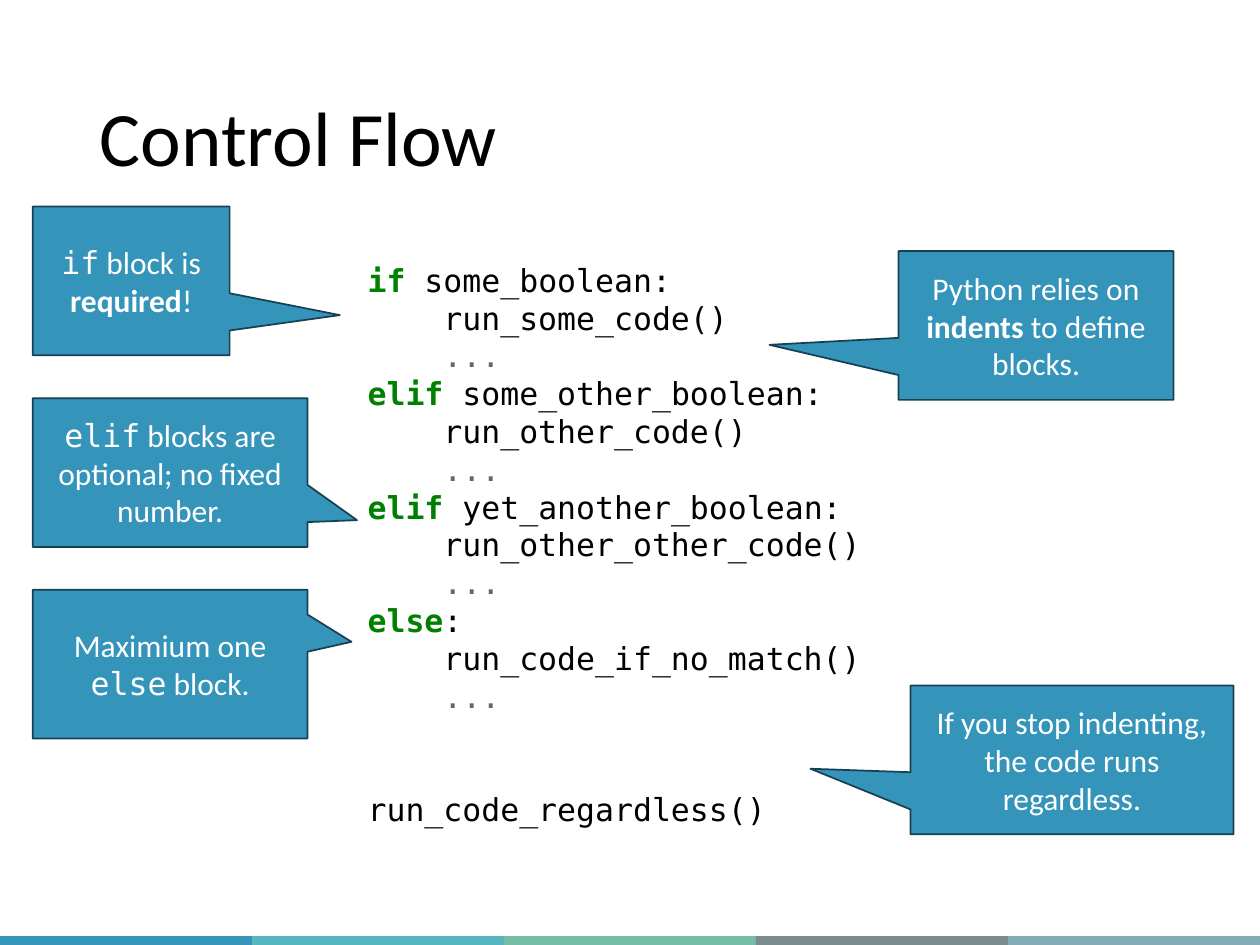
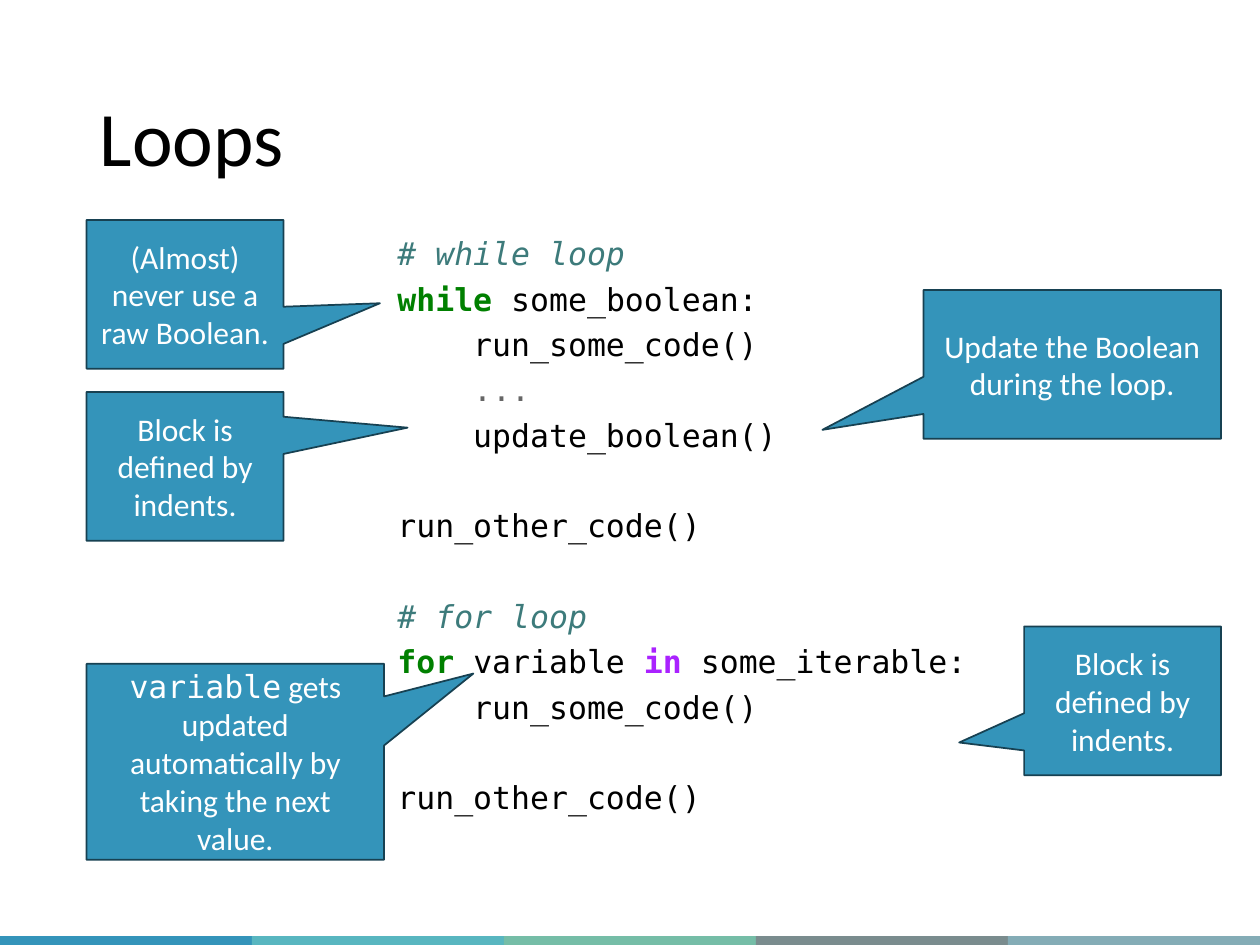
from pptx import Presentation
from pptx.dml.color import RGBColor
from pptx.enum.shapes import MSO_SHAPE
from pptx.enum.text import MSO_ANCHOR, PP_ALIGN
from pptx.util import Pt

WIDTH, HEIGHT = 720, 540
BAND_TOP = 535
BAND_COLORS = ["3494BA", "58B6C0", "75BDA7", "7A8C8E", "84ACB6"]
CALLOUT_FILL, CALLOUT_LINE = "3494BA", "174152"
TEXT_FONT, CODE_FONT = "Calibri", "DejaVu Sans Mono"
CODE_INDENT = 43.35
CODE_LINE = 21.6

FORMATS = {
    "title": {"name": TEXT_FONT, "size": Pt(44), "color": "000000"},
    "note": {"name": TEXT_FONT, "size": Pt(18), "color": "FFFFFF"},
    "strong": {"name": TEXT_FONT, "size": Pt(18), "color": "FFFFFF", "bold": True},
    "inline": {"name": CODE_FONT, "size": Pt(18), "color": "FFFFFF"},
    "code": {"name": CODE_FONT, "size": Pt(18), "color": "000000"},
    "keyword": {"name": CODE_FONT, "size": Pt(18), "color": "008000", "bold": True},
    "operator": {"name": CODE_FONT, "size": Pt(18), "color": "AA22FF", "bold": True},
    "comment": {"name": CODE_FONT, "size": Pt(18), "color": "3D7B7B", "italic": True},
    "dots": {"name": CODE_FONT, "size": Pt(18), "color": "666666"},
}


def color(value):
    return RGBColor.from_string(value)


class SlideWriter:
    def __init__(self):
        self.deck = Presentation()
        self.deck.slide_width, self.deck.slide_height = Pt(WIDTH), Pt(HEIGHT)
        self.page = None

    def start_page(self, title):
        self.page = self.deck.slides.add_slide(self.deck.slide_layouts[6])
        self.bands()
        frame = self.text_frame(50, 28.8, 620, 104.4)
        frame.vertical_anchor = MSO_ANCHOR.MIDDLE
        frame.paragraphs[0].line_spacing = 0.9
        self.spans(frame.paragraphs[0], [(title, "title")])

    def shape(self, kind, left, top, width, height, fill):
        shape = self.page.shapes.add_shape(kind, Pt(left), Pt(top), Pt(width), Pt(height))
        shape.shadow.inherit = False
        shape.fill.solid()
        shape.fill.fore_color.rgb = color(fill)
        return shape

    def bands(self):
        width = WIDTH / len(BAND_COLORS)
        for index, fill in enumerate(BAND_COLORS):
            band = self.shape(MSO_SHAPE.RECTANGLE, index * width, BAND_TOP,
                              width, HEIGHT - BAND_TOP, fill)
            band.line.fill.background()

    def text_frame(self, left, top, width, height):
        box = self.page.shapes.add_textbox(Pt(left), Pt(top), Pt(width), Pt(height))
        box.text_frame.word_wrap = True
        return box.text_frame

    def spans(self, para, parts):
        for text, style in parts:
            span = para.add_run()
            span.text = text
            for key, value in FORMATS[style].items():
                if key == "color":
                    span.font.color.rgb = color(value)
                else:
                    setattr(span.font, key, value)

    def callout(self, left, top, width, tip, parts, height=85):
        box = self.shape(MSO_SHAPE.RECTANGULAR_CALLOUT, left, top, width, height, CALLOUT_FILL)
        box.adjustments[0], box.adjustments[1] = tip
        box.line.color.rgb = color(CALLOUT_LINE)
        box.line.width = Pt(1)
        frame = box.text_frame
        frame.word_wrap = True
        frame.vertical_anchor = MSO_ANCHOR.MIDDLE
        frame.paragraphs[0].alignment = PP_ALIGN.CENTER
        self.spans(frame.paragraphs[0], parts)

    def code(self, left, top, width, height, lines, spacing=1.0):
        frame = self.text_frame(left, top, width, height)
        for index, (indent, gap, parts) in enumerate(lines):
            para = frame.add_paragraph() if index else frame.paragraphs[0]
            para.line_spacing = spacing
            para.space_before = Pt(gap * CODE_LINE * spacing)
            properties = para._p.get_or_add_pPr()
            properties.set("marL", str(Pt(indent * CODE_INDENT)))
            properties.set("indent", "0")
            self.spans(para, parts)


def line(*parts, gap=0):
    return 0, gap, parts


def inner(text, style="code"):
    return 1, 0, [(text, style)]


def branch(keyword, condition, call):
    return [line((keyword, "keyword"), (condition, "code")), inner(call), inner("...", "dots")]


def control_flow(writer):
    writer.start_page("Control Flow")
    left, narrow, wide = 18.7, 112.5, 157
    first, step = 118, 109.5
    notes = [
        (narrow, (1.06, 0.23), [("if", "inline"), (" block is ", "note"),
                                ("required", "strong"), ("!", "note")]),
        (wide, (0.68, 0.32), [("elif", "inline"),
                              (" blocks are optional; no fixed number.", "note")]),
        (wide, (0.66, -0.15), [("Maximium one ", "note"), ("else", "inline"),
                               (" block.", "note")]),
    ]
    for row, (width, tip, parts) in enumerate(notes):
        writer.callout(left, first + row * step, width, tip, parts)
    writer.callout(513.5, 143.5, wide, (-0.97, 0.13),
                   [("Python relies on ", "note"), ("indents", "strong"),
                    (" to define blocks.", "note")])
    writer.callout(520.3, 391.7, 184.5, (-0.81, 0.06),
                   [("If you stop indenting, the code runs regardless.", "note")])
    writer.code(203, 145.5, 310.5, 334, [
        *branch("if ", "some_boolean:", "run_some_code()"),
        *branch("elif ", "some_other_boolean:", "run_other_code()"),
        *branch("elif ", "yet_another_boolean:", "run_other_other_code()"),
        *branch("else", ":", "run_code_if_no_match()"),
        line(("run_code_regardless()", "code"), gap=2),
    ])


def loops(writer):
    writer.start_page("Loops")
    left, right, narrow, wide = 49.5, 697.7, 112.5, 170
    indents = "Block is defined by indents."
    notes = [
        (left, 125.7, narrow, (0.99, 0.06), "(Almost) never use a raw Boolean."),
        (right - wide, 165.7, wide, (-0.84, 0.44), "Update the Boolean during the loop."),
        (left, 224, narrow, (1.13, -0.26), indents),
        (right - narrow, 358, narrow, (-0.83, 0.28), indents),
    ]
    for x, top, width, tip, text in notes:
        writer.callout(x, top, width, tip, [(text, "note")])
    writer.callout(left, 379.3, wide, (0.8, -0.45),
                   [("variable", "inline"),
                    (" gets updated automatically by taking the next value.", "note")],
                   height=112)
    after_loop = line(("run_other_code()", "code"), gap=1)
    writer.code(220, 126, 392.5, 289, [
        line(("# while loop", "comment")),
        *branch("while ", "some_boolean:", "run_some_code()"),
        inner("update_boolean()"),
        after_loop,
        line(("# for loop", "comment"), gap=1),
        line(("for", "keyword"), (" variable ", "code"), ("in ", "operator"),
             ("some_iterable:", "code")),
        inner("run_some_code()"),
        after_loop,
    ], spacing=1.2)


def main():
    writer = SlideWriter()
    control_flow(writer)
    loops(writer)
    writer.deck.save("out.pptx")


if __name__ == "__main__":
    main()
